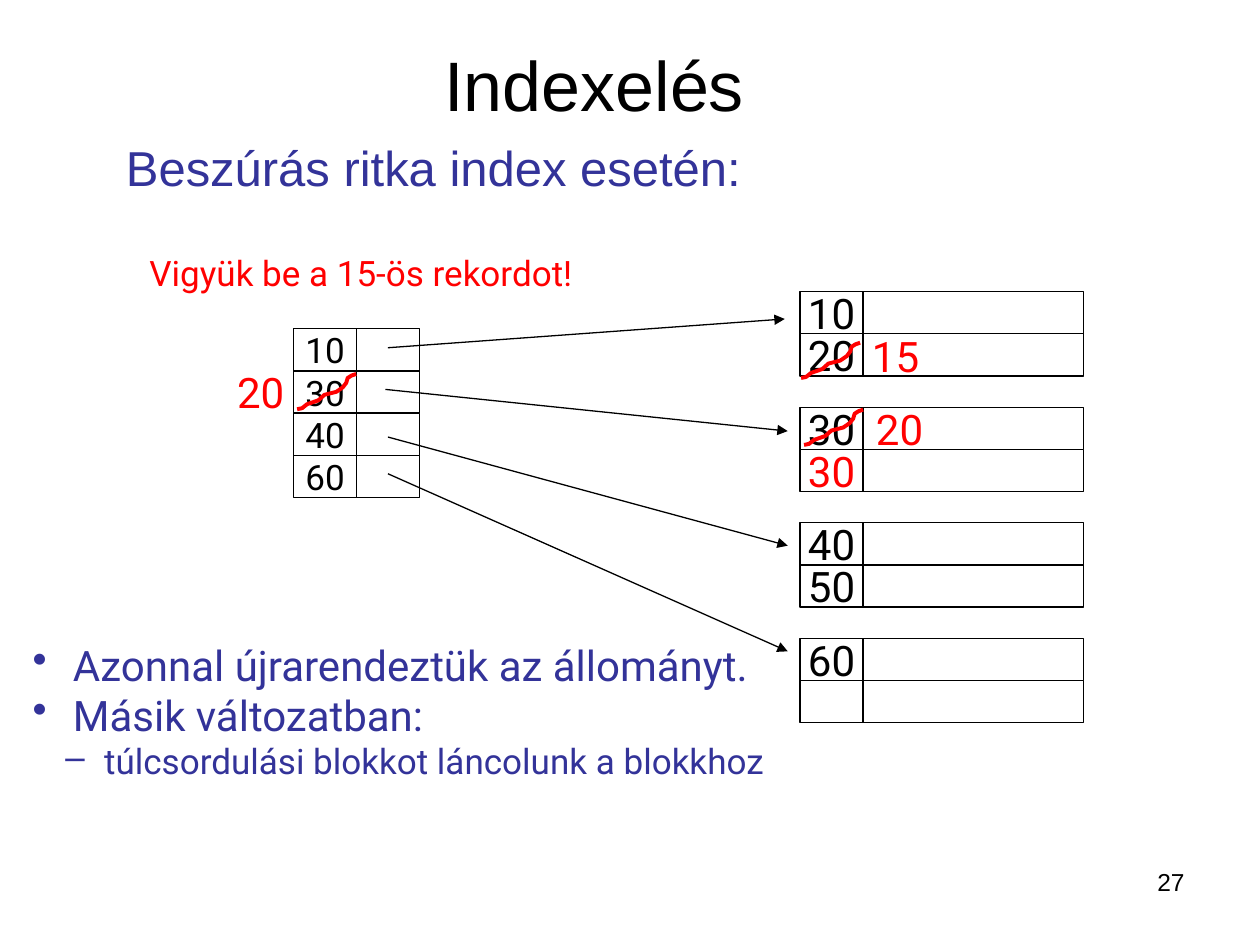
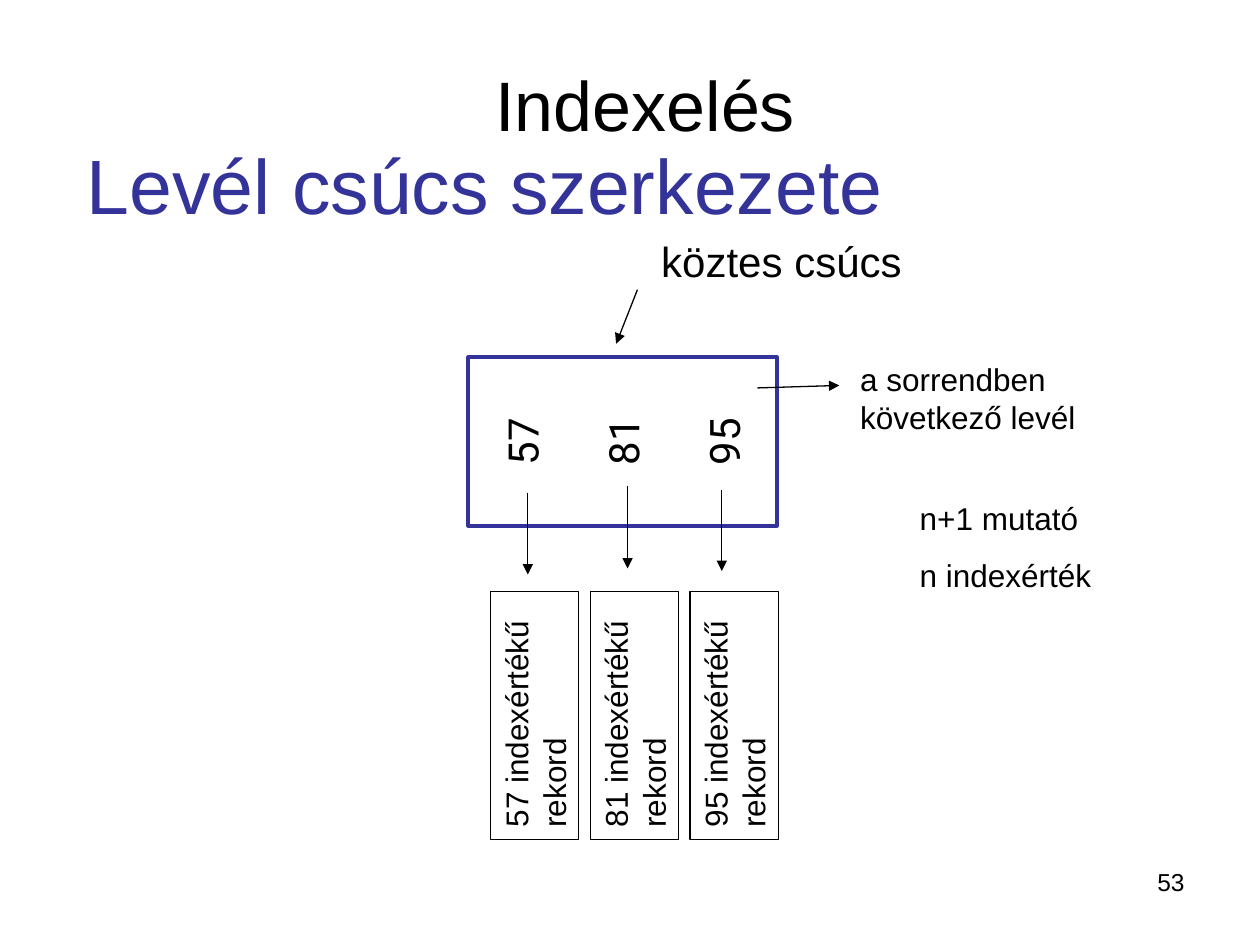
from lxml.etree import SubElement
from pptx import Presentation
from pptx.dml.color import RGBColor
from pptx.enum.shapes import MSO_CONNECTOR as Link, MSO_SHAPE as Form
from pptx.enum.text import MSO_ANCHOR as Anchor, PP_ALIGN as Align
from pptx.oxml.ns import qn
from pptx.util import Cm, Pt

BLACK = RGBColor(0, 0, 0)
WHITE = RGBColor(255, 255, 255)
RED = RGBColor(255, 0, 0)
BLUE = RGBColor(0x33, 0x33, 0x99)
SANS = "Arial"
ROBOTO = "Roboto"
ROW = 0.85
KEY = 1.27
STROKE = [(0, 0.71), (0.1, 0.69), (0.2, 0.61), (0.43, 0.53), (0.55, 0.42),
          (0.79, 0.36), (0.92, 0.27), (0.99, 0.18), (1.02, 0.08),
          (1.1, 0.03), (1.19, 0)]


class Deck:
    def __init__(self):
        self.show = Presentation()
        self.show.slide_width = Cm(25.4)
        self.show.slide_height = Cm(19.05)
        self.slide = None

    def page(self, number):
        self.slide = self.show.slides.add_slide(self.show.slide_layouts[6])
        self.text(number, 18.21, 17.35, 5.92, 1.32, 14, align=Align.RIGHT)

    def label(self, shape, words, size, font=SANS, color=BLACK,
              align=Align.LEFT, anchor=Anchor.TOP, wrap=True, gap=0):
        frame = shape.text_frame
        frame.text = words
        frame.word_wrap = wrap
        frame.vertical_anchor = anchor
        for spot, para in enumerate(frame.paragraphs):
            para.alignment = align
            if spot:
                para.space_before = Pt(gap)
            for run in para.runs:
                run.font.size = Pt(size)
                run.font.name = font
                run.font.color.rgb = color

    def text(self, words, left, top, width, height, size, **style):
        box = self.slide.shapes.add_textbox(
            Cm(left), Cm(top), Cm(width), Cm(height))
        self.label(box, words, size, **style)
        return box

    def rect(self, left, top, width, height, fill=WHITE, line=BLACK,
             weight=0.75, turn=0):
        shape = self.slide.shapes.add_shape(
            Form.RECTANGLE, Cm(left), Cm(top), Cm(width), Cm(height))
        shape.shadow.inherit = False
        if fill is None:
            shape.fill.background()
        else:
            shape.fill.solid()
            shape.fill.fore_color.rgb = fill
        shape.line.color.rgb = line
        shape.line.width = Pt(weight)
        shape.rotation = turn
        return shape

    def block(self, left, top, keys, width, size):
        for row, key in enumerate(keys):
            y = top + row * ROW
            cell = self.rect(left, y, KEY, ROW)
            if key:
                self.label(cell, key, size, font=ROBOTO, align=Align.CENTER,
                           anchor=Anchor.MIDDLE, wrap=False)
            self.rect(left + KEY, y, width, ROW)

    def arrow(self, x1, y1, x2, y2):
        link = self.slide.shapes.add_connector(
            Link.STRAIGHT, Cm(x1), Cm(y1), Cm(x2), Cm(y2))
        link.line.color.rgb = BLACK
        link.line.width = Pt(0.75)
        props = link._element.spPr
        SubElement(props.find(qn("a:ln")), qn("a:tailEnd"), type="triangle")
        SubElement(props, qn("a:effectLst"))

    def strike(self, left, top):
        dots = [(Cm(left + x), Cm(top + y)) for x, y in STROKE]
        pen = self.slide.shapes.build_freeform(*dots[0])
        pen.add_line_segments(dots[1:], close=False)
        shape = pen.convert_to_shape()
        shape.shadow.inherit = False
        shape.fill.background()
        shape.line.color.rgb = RED
        shape.line.width = Pt(2.25)

    def bullet(self, para, mark, left, hang, size):
        props = para._p.get_or_add_pPr()
        props.set("marL", str(Cm(left)))
        props.set("indent", str(-Cm(hang)))
        tint = SubElement(props, qn("a:buClr"))
        SubElement(tint, qn("a:srgbClr"), val=str(BLUE))
        SubElement(props, qn("a:buChar"), char=mark)
        para.font.size = Pt(size)
        for run in para.runs:
            run.font.size = Pt(size)


def insert(deck):
    deck.page("27")
    data = [("10", "20"), ("30", ""), ("40", "50"), ("60", "")]
    for spot, keys in enumerate(data):
        deck.block(16.13, 5.88 + spot * 2.33, keys, 4.45, 24)
    deck.block(5.92, 6.63, ("10", "30", "40", "60"), KEY, 20)
    for ends in [(7.82, 7.01, 15.82, 6.43), (7.77, 7.85, 15.88, 8.69),
                 (7.82, 8.81, 15.88, 11), (7.82, 9.55, 15.88, 13.13)]:
        deck.arrow(*ends)
    for key, left, top in [("15", 17.32, 6.53), ("20", 17.4, 8),
                           ("30", 16.03, 8.86), ("20", 4.52, 7.26)]:
        deck.text(key, left, top, 1.47, 1.27, 24, font=ROBOTO, color=RED,
                  align=Align.CENTER, anchor=Anchor.MIDDLE, wrap=False)
    for left, top in [(16.15, 6.91), (16.21, 8.26), (5.99, 7.54)]:
        deck.strike(left, top)
    notes = deck.text(
        "Azonnal újrarendeztük az állományt.\nMásik változatban:\n"
        "túlcsordulási blokkot láncolunk a blokkhoz",
        0.41, 12.76, 16.38, 4.11, 24, font=ROBOTO, color=BLUE)
    marks = [("•", 0.81, 0.81, 24), ("•", 0.81, 0.81, 24),
             ("–", 1.44, 0.78, 20)]
    for para, mark in zip(notes.text_frame.paragraphs, marks):
        deck.bullet(para, *mark)
    deck.text("Beszúrás ritka index esetén:", 2.29, 2.31, 21.59, 2.11, 28,
              color=BLUE, anchor=Anchor.MIDDLE)
    deck.text("Vigyük be a 15-ös rekordot!", 2.49, 4.93, 9.58, 1.12, 20,
              font=ROBOTO, color=RED, align=Align.CENTER,
              anchor=Anchor.MIDDLE, wrap=False)
    deck.text("Indexelés", 8.71, 0.71, 8.2, 1.96, 40)


def leaf(deck):
    deck.page("53")
    deck.text("köztes csúcs", 13.08, 4.62, 8, 1.3, 24)
    node = deck.rect(10.85, 5.79, 3.4, 6.22, line=BLUE, weight=2.25, turn=270)
    keys = ["57", "81", "95"]
    deck.label(node, "\n".join(keys), 24, font=ROBOTO, align=Align.CENTER,
               anchor=Anchor.MIDDLE, wrap=False, gap=28.8)
    for ends in [(12.85, 5.84, 12.42, 6.93), (15.27, 7.82, 16.92, 7.77),
                 (10.64, 9.93, 10.64, 11.58), (12.65, 9.8, 12.65, 11.46),
                 (14.55, 9.88, 14.55, 11.51)]:
        deck.arrow(*ends)
    deck.text("Levél csúcs szerkezete", 1.5, 2.13, 22.83, 3.15, 44,
              color=BLUE, anchor=Anchor.MIDDLE)
    deck.text("Indexelés", 9.5, 1.12, 7.01, 1.96, 40, align=Align.CENTER)
    deck.text("a sorrendben következő levél", 17.09, 7.14, 6.4, 2.95, 18)
    for spot, key in enumerate(keys):
        card = deck.rect(8.28 + spot * 2.01, 13.54, 5, 1.78, fill=None,
                         turn=270)
        deck.label(card, f"{key} indexértékű rekord", 18)
    deck.text("n+1 mutató\nn indexérték", 18.29, 9.93, 5, 2.18, 18, gap=11.25)


def main():
    deck = Deck()
    insert(deck)
    leaf(deck)
    deck.show.save("out.pptx")


if __name__ == "__main__":
    main()
